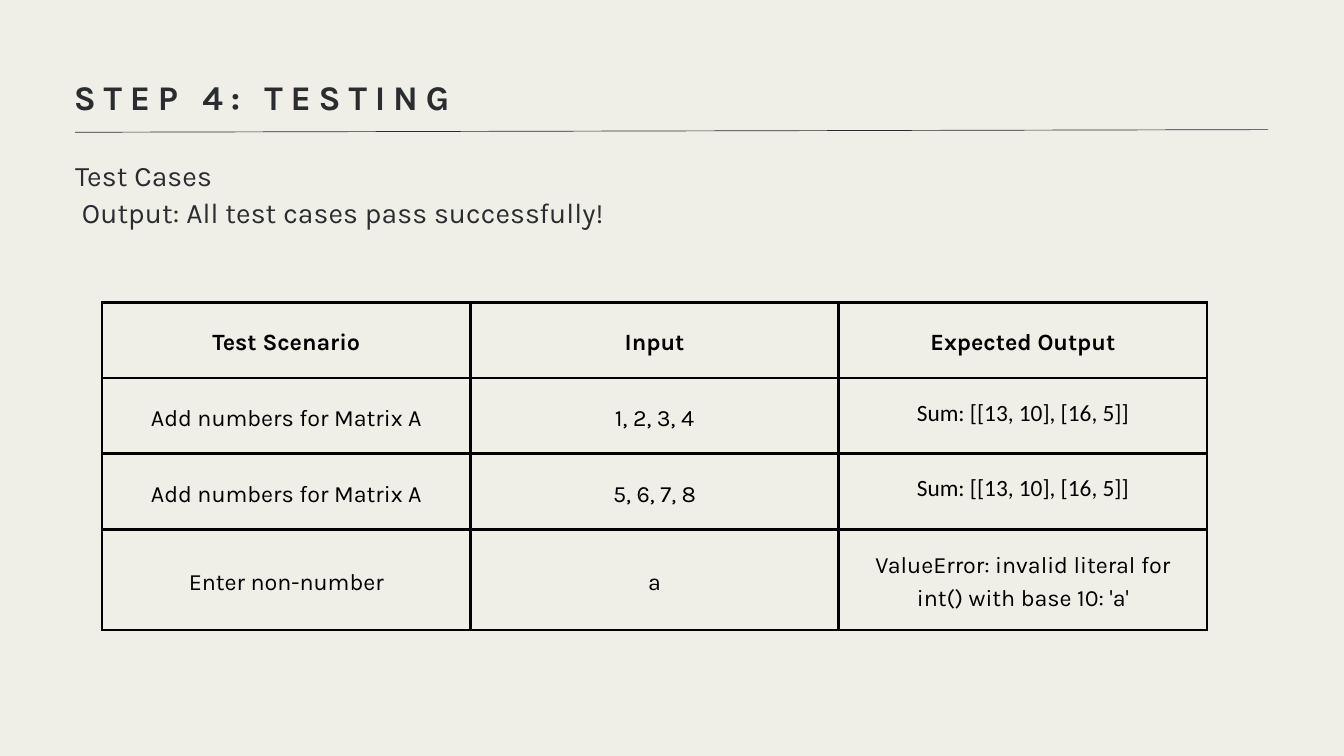
from dataclasses import dataclass

from lxml.etree import SubElement
from pptx import Presentation
from pptx.dml.color import RGBColor
from pptx.enum.shapes import MSO_CONNECTOR
from pptx.enum.text import MSO_ANCHOR, MSO_AUTO_SIZE, PP_ALIGN
from pptx.oxml.ns import qn
from pptx.util import Cm, Pt

PAPER, INK, BLACK = "EFEEE7", "2B2C30", "000000"
HEADING_FONT, CODE_FONT = "Karla", "Calibri"


@dataclass(frozen=True)
class Style:
    size: float
    leading: float
    color: str
    font: str = HEADING_FONT
    bold: bool = False
    tracking: float = 0


@dataclass(frozen=True)
class TextBlock:
    left: float
    top: float
    width: float
    height: float
    style: Style
    lines: tuple[str, ...]


HEADER = Style(25, 35, BLACK, bold=True)
BODY = Style(25, 35, BLACK)
RESULT = Style(25, 25.2, BLACK, font=CODE_FONT)

TEXT_BLOCKS = (
    TextBlock(2.84, 5.89, 30.05, 4.5, Style(30.3, 39.4, INK, tracking=0.1),
              ("Test Cases", " Output: All test cases pass successfully!")),
    TextBlock(2.79, 2.62, 45.09, 1.8,
              Style(37.1, 52, INK, bold=True, tracking=8.4),
              ("STEP 4: TESTING",)),
)

TEST_CASES = (
    ("Test Scenario", "Input", "Expected Output"),
    ("Add numbers for Matrix A", "1, 2, 3, 4", "Sum: [[13, 10], [16, 5]]"),
    ("Add numbers for Matrix A", "5, 6, 7, 8", "Sum: [[13, 10], [16, 5]]"),
    ("Enter non-number", "a",
     "ValueError: invalid literal for int() with base 10: 'a'"),
)
COLUMN_WIDTH = 13.92
ROW_HEIGHTS = (2.86, 2.86, 2.86, 3.81)


def rgb(color: str) -> RGBColor:
    return RGBColor.from_string(color)


def write_line(p, text: str, style: Style) -> None:
    p.line_spacing = Pt(style.leading)
    r = p.add_run()
    r.text = text
    r.font.size = Pt(style.size)
    r.font.name = style.font
    r.font.bold = style.bold
    r.font.color.rgb = rgb(style.color)
    if style.tracking:
        r.font._element.set("spc", str(round(style.tracking * 100)))


def add_text(s, block: TextBlock) -> None:
    box = s.shapes.add_textbox(Cm(block.left), Cm(block.top),
                               Cm(block.width), Cm(block.height))
    tf = box.text_frame
    tf.word_wrap = True
    tf.auto_size = MSO_AUTO_SIZE.SHAPE_TO_FIT_TEXT
    tf.margin_left = tf.margin_right = tf.margin_top = tf.margin_bottom = 0
    for i, line in enumerate(block.lines):
        p = tf.add_paragraph() if i else tf.paragraphs[0]
        write_line(p, line, block.style)


def add_rule(s) -> None:
    rule = s.shapes.add_connector(MSO_CONNECTOR.STRAIGHT, Cm(2.84), Cm(5),
                                  Cm(47.93), Cm(4.9))
    rule.line.color.rgb = rgb(INK)
    rule.line.width = Pt(0.75)
    SubElement(rule._element.spPr, qn("a:effectLst"))


def set_borders(cell, color: str, width: float) -> None:
    tc_pr = cell._tc.get_or_add_tcPr()
    for side in "LRTB":
        ln = SubElement(tc_pr, qn(f"a:ln{side}"), w=str(Pt(width)))
        fill = SubElement(ln, qn("a:solidFill"))
        SubElement(fill, qn("a:srgbClr"), val=color)


def cell_style(row: int, text: str) -> Style:
    if row == 0:
        return HEADER
    return RESULT if text.startswith("Sum:") else BODY


def add_test_table(s) -> None:
    rows, cols = len(TEST_CASES), len(TEST_CASES[0])
    table = s.shapes.add_table(rows, cols, Cm(3.86), Cm(11.43),
                               Cm(COLUMN_WIDTH * cols),
                               Cm(sum(ROW_HEIGHTS))).table
    table.first_row = table.horz_banding = False
    for column in table.columns:
        column.width = Cm(COLUMN_WIDTH)
    for i, (height, texts) in enumerate(zip(ROW_HEIGHTS, TEST_CASES)):
        table.rows[i].height = Cm(height)
        for j, text in enumerate(texts):
            cell = table.cell(i, j)
            cell.margin_left = cell.margin_right = Cm(0.53)
            cell.margin_top = cell.margin_bottom = Cm(0.53)
            cell.vertical_anchor = MSO_ANCHOR.MIDDLE
            set_borders(cell, BLACK, 3)
            cell.fill.background()
            p = cell.text_frame.paragraphs[0]
            p.alignment = PP_ALIGN.CENTER
            write_line(p, text, cell_style(i, text))


def main() -> None:
    prs = Presentation()
    prs.slide_width, prs.slide_height = Cm(50.8), Cm(28.58)
    s = prs.slides.add_slide(prs.slide_layouts[6])
    s.background.fill.solid()
    s.background.fill.fore_color.rgb = rgb(PAPER)
    add_rule(s)
    add_test_table(s)
    for block in TEXT_BLOCKS:
        add_text(s, block)
    prs.save("out.pptx")


if __name__ == "__main__":
    main()
